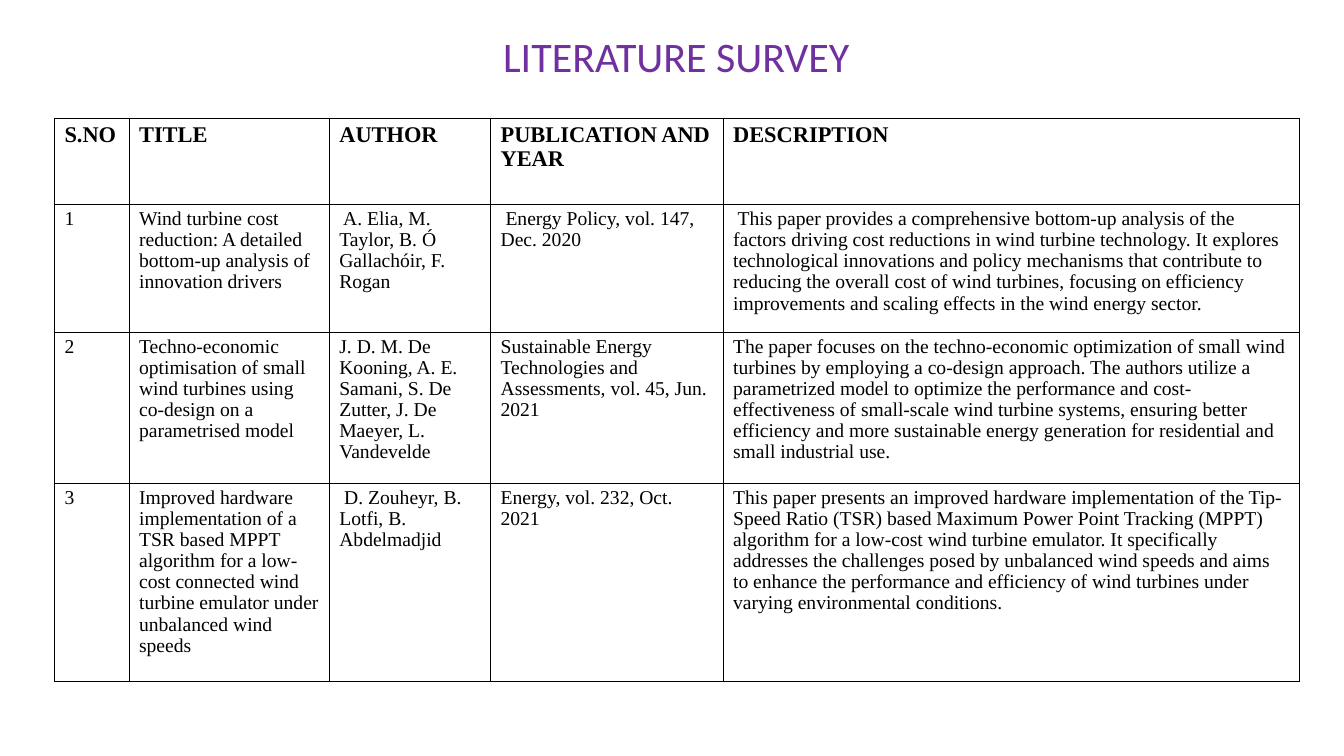
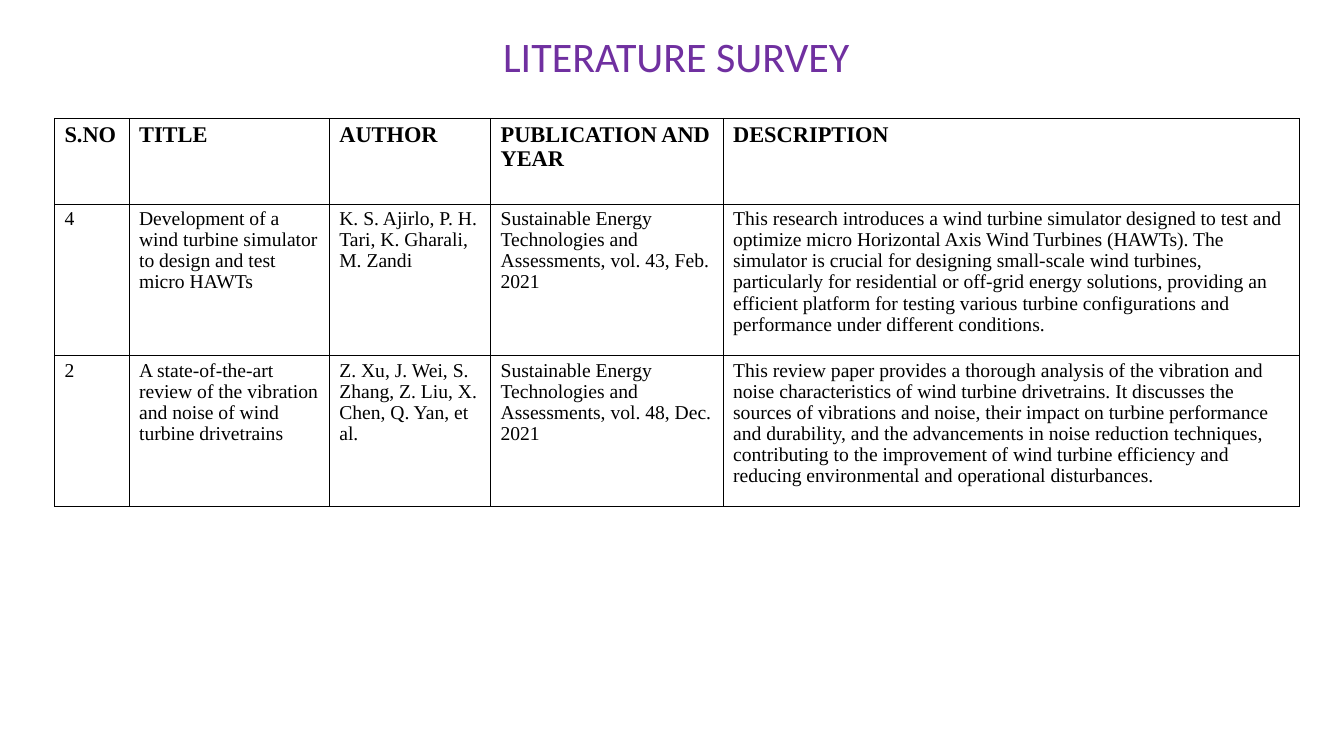
from lxml import etree
from pptx import Presentation
from pptx.dml.color import RGBColor
from pptx.enum.text import MSO_ANCHOR, PP_ALIGN
from pptx.oxml.ns import qn
from pptx.util import Inches, Pt

CENTER, LEFT = PP_ALIGN.CENTER, PP_ALIGN.LEFT
MIDDLE, TOP = MSO_ANCHOR.MIDDLE, MSO_ANCHOR.TOP

PURPLE = RGBColor(0x70, 0x30, 0xA0)
BLACK = RGBColor(0x00, 0x00, 0x00)

# Shared formats
TITLE_FONT = {"name": "Calibri", "size": Pt(45), "bold": False}
HEADER_FONT = {"name": "Times New Roman", "size": Pt(24), "bold": True}
BODY_FONT = {"name": "Times New Roman", "size": Pt(21), "bold": False}
CELL_FORMAT = {
    "margin_left": Inches(0.15),
    "margin_right": Inches(0.15),
    "margin_top": Inches(0.07),
    "margin_bottom": Inches(0.07),
    "vertical_anchor": TOP,
}

# Shared layout, in inches
MARGIN_LEFT, CONTENT_WIDTH = 0.81, 18.51
TITLE_TOP, TITLE_HEIGHT = 0.32, 1.12
TABLE_TOP = 1.76
COLUMN_WIDTHS = [1.11, 2.98, 2.4, 3.46, 8.57]
HEADER_HEIGHT = 1.28
BORDER_WIDTH = Pt(1)

TITLE = "LITERATURE SURVEY"
HEADINGS = ["S.NO", "TITLE", "AUTHOR", "PUBLICATION AND YEAR", "DESCRIPTION"]

# One survey per slide: each paper is a row height and its cell texts
SURVEYS = [
    [
        (1.9, [
            "1",
            "Wind turbine cost reduction: A detailed bottom-up analysis of "
            "innovation drivers",
            " A. Elia, M. Taylor, B. Ó Gallachóir, F. Rogan",
            " Energy Policy, vol. 147, Dec. 2020",
            " This paper provides a comprehensive bottom-up analysis of the "
            "factors driving cost reductions in wind turbine technology. It "
            "explores technological innovations and policy mechanisms that "
            "contribute to reducing the overall cost of wind turbines, "
            "focusing on efficiency improvements and scaling effects in the "
            "wind energy sector.",
        ]),
        (2.25, [
            "2",
            "Techno-economic optimisation of small wind turbines using "
            "co-design on a parametrised model",
            "J. D. M. De Kooning, A. E. Samani, S. De Zutter, J. De Maeyer, "
            "L. Vandevelde",
            "Sustainable Energy Technologies and Assessments, vol. 45, "
            "Jun. 2021",
            "The paper focuses on the techno-economic optimization of small "
            "wind turbines by employing a co-design approach. The authors "
            "utilize a parametrized model to optimize the performance and "
            "cost-effectiveness of small-scale wind turbine systems, ensuring "
            "better efficiency and more sustainable energy generation for "
            "residential and small industrial use.",
        ]),
        (2.95, [
            "3",
            "Improved hardware implementation of a TSR based MPPT algorithm "
            "for a low-cost connected wind turbine emulator under unbalanced "
            "wind speeds",
            " D. Zouheyr, B. Lotfi, B. Abdelmadjid",
            "Energy, vol. 232, Oct. 2021",
            "This paper presents an improved hardware implementation of the "
            "Tip-Speed Ratio (TSR) based Maximum Power Point Tracking (MPPT) "
            "algorithm for a low-cost wind turbine emulator. It specifically "
            "addresses the challenges posed by unbalanced wind speeds and "
            "aims to enhance the performance and efficiency of wind turbines "
            "under varying environmental conditions.",
        ]),
    ],
    [
        (2.25, [
            "4",
            "Development of a wind turbine simulator to design and test "
            "micro HAWTs",
            "K. S. Ajirlo, P. H. Tari, K. Gharali, M. Zandi",
            "Sustainable Energy Technologies and Assessments, vol. 43, "
            "Feb. 2021",
            "This research introduces a wind turbine simulator designed to "
            "test and optimize micro Horizontal Axis Wind Turbines (HAWTs). "
            "The simulator is crucial for designing small-scale wind "
            "turbines, particularly for residential or off-grid energy "
            "solutions, providing an efficient platform for testing various "
            "turbine configurations and performance under different "
            "conditions.",
        ]),
        (2.25, [
            "2",
            "A state-of-the-art review of the vibration and noise of wind "
            "turbine drivetrains",
            "Z. Xu, J. Wei, S. Zhang, Z. Liu, X. Chen, Q. Yan, et al.",
            "Sustainable Energy Technologies and Assessments, vol. 48, "
            "Dec. 2021",
            "This review paper provides a thorough analysis of the vibration "
            "and noise characteristics of wind turbine drivetrains. It "
            "discusses the sources of vibrations and noise, their impact on "
            "turbine performance and durability, and the advancements in "
            "noise reduction techniques, contributing to the improvement of "
            "wind turbine efficiency and reducing environmental and "
            "operational disturbances.",
        ]),
    ],
]


def apply_format(target, values):
    for name, value in values.items():
        setattr(target, name, value)


def write_text(text_frame, text, font, color, alignment, line_spacing):
    text_frame.word_wrap = True
    paragraph = text_frame.paragraphs[0]
    paragraph.alignment = alignment
    paragraph.line_spacing = line_spacing
    run = paragraph.add_run()
    run.text = text
    apply_format(run.font, font)
    run.font.color.rgb = color


def add_title(slide):
    shape = slide.shapes.add_textbox(
        Inches(MARGIN_LEFT), Inches(TITLE_TOP),
        Inches(CONTENT_WIDTH), Inches(TITLE_HEIGHT))
    shape.text_frame.vertical_anchor = MIDDLE
    write_text(shape.text_frame, TITLE, TITLE_FONT, PURPLE, CENTER, 0.9)


def add_borders(cell):
    properties = cell._tc.get_or_add_tcPr()
    # Borders must come before the fill
    for position, side in enumerate(("a:lnL", "a:lnR", "a:lnT", "a:lnB")):
        line = etree.Element(qn(side), w=str(BORDER_WIDTH))
        fill = etree.SubElement(line, qn("a:solidFill"))
        etree.SubElement(fill, qn("a:srgbClr"), val=str(BLACK))
        properties.insert(position, line)


def fill_cell(cell, text, font):
    apply_format(cell, CELL_FORMAT)
    cell.fill.background()
    add_borders(cell)
    write_text(cell.text_frame, text, font, BLACK, LEFT, 0.97)


def add_survey_table(slide, papers):
    rows = [(HEADER_HEIGHT, HEADINGS)] + papers
    table_height = sum(height for height, _ in rows)
    table = slide.shapes.add_table(
        len(rows), len(COLUMN_WIDTHS), Inches(MARGIN_LEFT), Inches(TABLE_TOP),
        Inches(CONTENT_WIDTH), Inches(table_height)).table
    apply_format(table, {"first_row": False, "horz_banding": False})
    for column, width in zip(table.columns, COLUMN_WIDTHS):
        column.width = Inches(width)
    for row_number, (height, texts) in enumerate(rows):
        table.rows[row_number].height = Inches(height)
        font = BODY_FONT if row_number else HEADER_FONT
        for column_number, text in enumerate(texts):
            fill_cell(table.cell(row_number, column_number), text, font)


def main():
    presentation = Presentation()
    presentation.slide_width = Inches(20)
    presentation.slide_height = Inches(11.25)
    blank_layout = presentation.slide_layouts[6]
    for papers in SURVEYS:
        slide = presentation.slides.add_slide(blank_layout)
        add_title(slide)
        add_survey_table(slide, papers)
    presentation.save("out.pptx")


if __name__ == "__main__":
    main()
